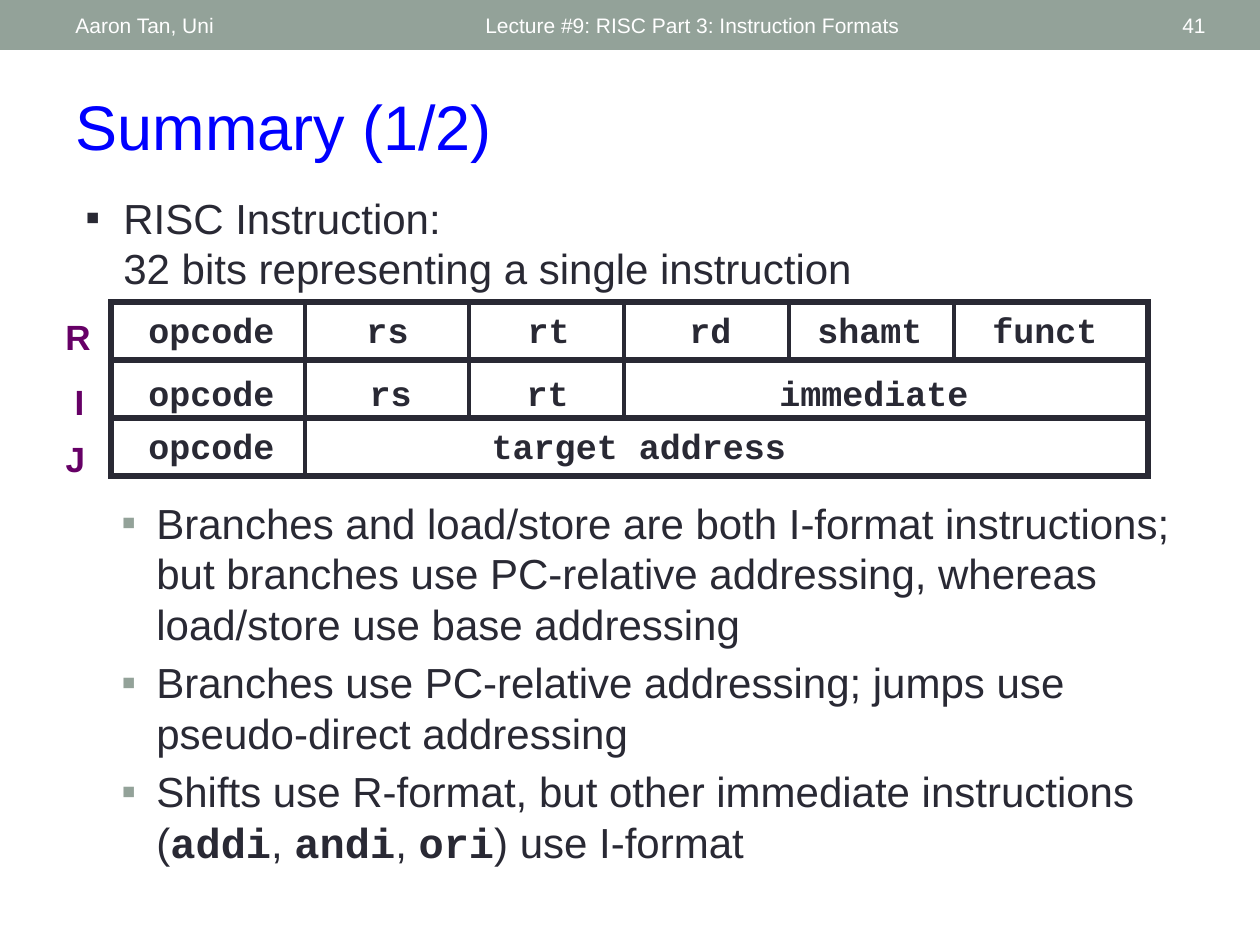
from lxml import etree
from pptx import Presentation
from pptx.dml.color import RGBColor
from pptx.enum.shapes import MSO_CONNECTOR, MSO_SHAPE
from pptx.enum.text import MSO_ANCHOR, PP_ALIGN
from pptx.oxml.ns import qn
from pptx.util import Emu, Pt

STRAIGHT = MSO_CONNECTOR.STRAIGHT
RECTANGLE = MSO_SHAPE.RECTANGLE
TOP, MIDDLE = MSO_ANCHOR.TOP, MSO_ANCHOR.MIDDLE
LEFT, CENTER, RIGHT = PP_ALIGN.LEFT, PP_ALIGN.CENTER, PP_ALIGN.RIGHT

SAGE = RGBColor(0x93, 0xA2, 0x99)
INK = RGBColor(0x29, 0x29, 0x34)
BLUE = RGBColor(0x00, 0x00, 0xFF)
PURPLE = RGBColor(0x66, 0x00, 0x66)
WHITE = RGBColor(0xFF, 0xFF, 0xFF)

SANS, MONO = "Arial", "Courier New"
PX_PER_INCH = 126

# Instruction format grid
GRID_LEFT, GRID_TOP, GRID_WIDTH, ROW_HEIGHT = 111, 302, 1037, 58
DIVIDERS = [305, 469, 624, 789, 954]
LABEL_HEIGHT = 54

# Each format: letter, letter left, letter top, letter width, divider count,
# field text top, fields as (text, left, width)
FORMATS = [
    ("R", 53, 309, 50, 5, 302,
     [("opcode", 136, 151), ("rs", 354, 67), ("rt", 515, 67),
      ("rd", 677, 67), ("shamt", 805, 130), ("funct", 980, 130)]),
    ("I", 62, 374, 35, 3, 365,
     [("opcode", 136, 151), ("rs", 357, 67), ("rt", 514, 67),
      ("immediate", 767, 214)]),
    ("J", 53, 431, 45, 1, 418,
     [("opcode", 136, 151), ("target address", 479, 320)]),
]

INTRO = [[("RISC Instruction: \n32 bits representing a single instruction", SANS)]]
POINTS = [
    [("Branches and load/store are both I-format instructions; but branches use "
      "PC-relative addressing, whereas load/store use base addressing", SANS)],
    [("Branches use PC-relative addressing; jumps use pseudo-direct addressing", SANS)],
    [("Shifts use R-format, but other immediate instructions (", SANS),
     ("addi", MONO), (", ", SANS), ("andi", MONO), (", ", SANS),
     ("ori", MONO), (") use I-format", SANS)],
]


def px(count):
    return Emu(round(count * 914400 / PX_PER_INCH))


def add_span(para, text, size, color, font=SANS, bold=False):
    span = para.add_run()
    span.text = text
    span.font.name = font
    span.font.size = Pt(size)
    span.font.bold = bold
    span.font.color.rgb = color


def add_box(page, left, top, width, height, wrap=True):
    box = page.shapes.add_textbox(px(left), px(top), px(width), px(height))
    box.text_frame.word_wrap = wrap
    return box


def add_label(page, text, left, top, width, color, font):
    frame = add_box(page, left, top, width, LABEL_HEIGHT, wrap=False).text_frame
    frame.margin_left = frame.margin_right = 0
    para = frame.paragraphs[0]
    para.alignment = CENTER
    add_span(para, text, 20, color, font, bold=True)


def add_header_text(page, text, left, width, align=LEFT):
    box = add_box(page, left, 3, width, 45)
    box.text_frame.vertical_anchor = MIDDLE
    para = box.text_frame.paragraphs[0]
    para.alignment = align
    add_span(para, text, 12, WHITE)


def add_rectangle(page, left, top, width, height):
    shape = page.shapes.add_shape(RECTANGLE, px(left), px(top), px(width), px(height))
    shape.shadow.inherit = False
    return shape


def add_row_frame(page, top):
    frame = add_rectangle(page, GRID_LEFT, top, GRID_WIDTH, ROW_HEIGHT)
    frame.fill.background()
    frame.line.color.rgb = INK
    frame.line.width = Pt(3)
    outline = frame._element.spPr.find(qn("a:ln"))
    etree.SubElement(outline, qn("a:miter")).set("lim", "800000")


def add_divider(page, x, top):
    line = page.shapes.add_connector(STRAIGHT, px(x), px(top), px(x), px(top + ROW_HEIGHT))
    line.line.color.rgb = INK
    line.line.width = Pt(2.25)
    etree.SubElement(line._element.spPr, qn("a:effectLst"))


def set_bullet(para, color, margin, hanging):
    props = para._p.get_or_add_pPr()
    props.set("marL", str(px(margin)))
    props.set("indent", str(-px(hanging)))
    bullet_color = etree.SubElement(props, qn("a:buClr"))
    etree.SubElement(bullet_color, qn("a:srgbClr")).set("val", str(color))
    etree.SubElement(props, qn("a:buFont")).set("typeface", SANS)
    etree.SubElement(props, qn("a:buChar")).set("char", "▪")


def add_bullets(page, items, left, top, height, color, margin, hanging):
    frame = add_box(page, left, top, 1134, height).text_frame
    for index, spans in enumerate(items):
        para = frame.add_paragraph() if index else frame.paragraphs[0]
        para.space_before = Pt(4.8)
        set_bullet(para, color, margin, hanging)
        for text, font in spans:
            for number, part in enumerate(text.split("\n")):
                if number:
                    para.add_line_break()
                add_span(para, part, 24, INK, font, bold=font == MONO)


def add_title(page, text):
    title = page.shapes.title
    title.left, title.top, title.width, title.height = px(63), px(81), px(1155), px(90)
    frame = title.text_frame
    frame.vertical_anchor = TOP
    para = frame.paragraphs[0]
    para.alignment = LEFT
    add_span(para, text, 36, BLUE)


def add_formats(page):
    for row, (letter, left, top, width, count, text_top, fields) in enumerate(FORMATS):
        row_top = GRID_TOP + row * ROW_HEIGHT
        add_row_frame(page, row_top)
        for x in DIVIDERS[:count]:
            add_divider(page, x, row_top)
        for text, field_left, field_width in fields:
            add_label(page, text, field_left, text_top, field_width, INK, MONO)
        add_label(page, letter, left, top, width, PURPLE, SANS)


def main():
    deck = Presentation()
    deck.slide_width, deck.slide_height = px(1260), px(945)
    page = deck.slides.add_slide(deck.slide_layouts[5])

    # Header band
    band = add_rectangle(page, 0, 0, 1260, 50)
    band.fill.solid()
    band.fill.fore_color.rgb = SAGE
    band.line.fill.background()
    add_header_text(page, "Lecture #9: RISC Part 3: Instruction Formats", 473, 567)
    add_header_text(page, "Aaron Tan, Uni", 63, 400)
    add_header_text(page, "41", 1098, 120, RIGHT)

    # Title, introduction, formats and conclusions
    add_title(page, "Summary (1/2)")
    add_bullets(page, INTRO, 73, 186, 147, INK, 38, 38)
    add_formats(page)
    add_bullets(page, POINTS, 84, 491, 400, SAGE, 60, 35)

    deck.save("out.pptx")


if __name__ == "__main__":
    main()
